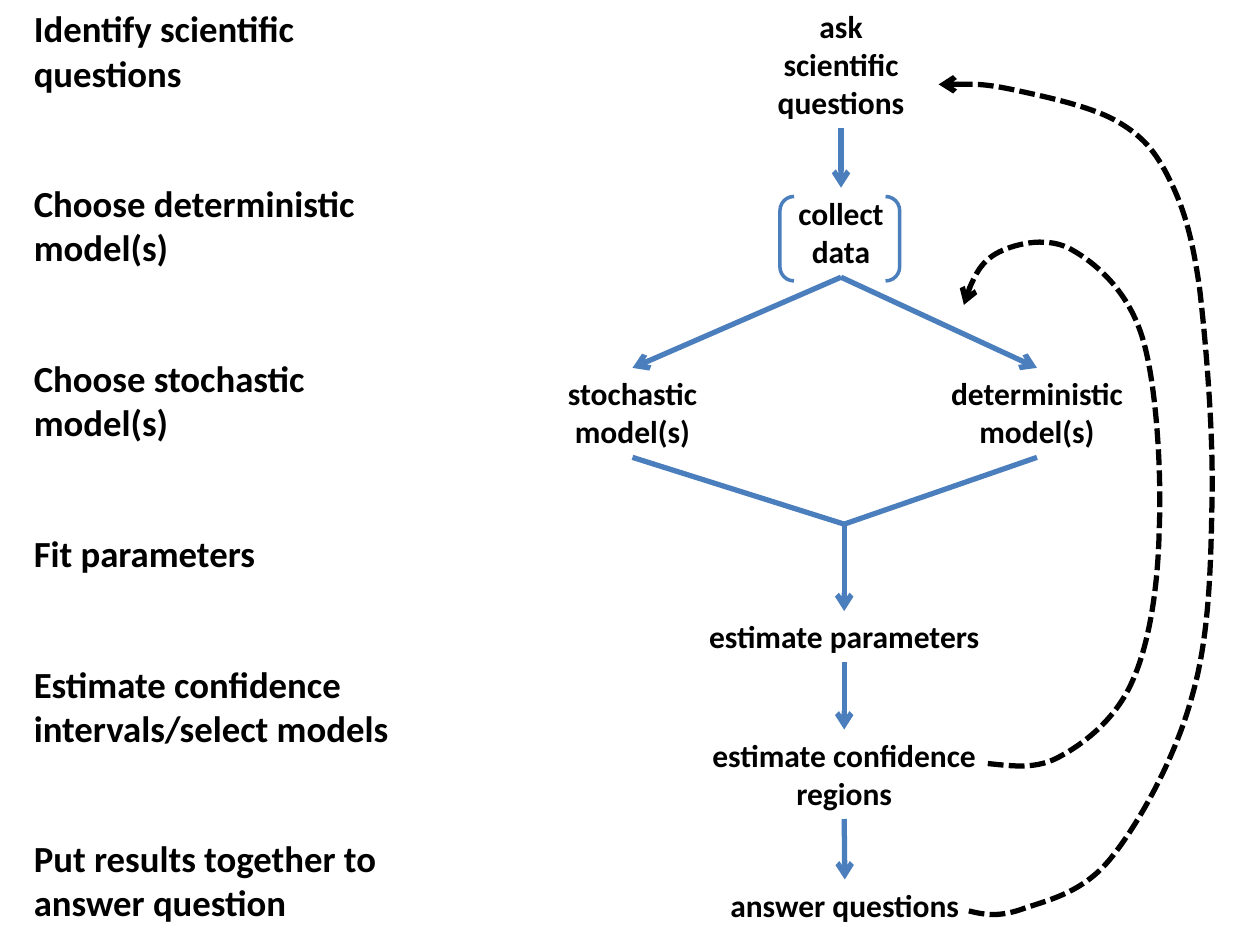
from dataclasses import dataclass

from lxml.etree import SubElement
from pptx import Presentation
from pptx.dml.color import RGBColor
from pptx.enum.dml import MSO_LINE
from pptx.enum.shapes import MSO_CONNECTOR, MSO_SHAPE
from pptx.enum.text import MSO_AUTO_SIZE, PP_ALIGN
from pptx.oxml.ns import qn
from pptx.util import Inches, Pt


@dataclass(frozen=True)
class Theme:
    ink: RGBColor = RGBColor(0, 0, 0)
    blue: RGBColor = RGBColor(0x4B, 0x7E, 0xBC)
    font: str = "Calibri"
    step_size: Pt = Pt(21)
    node_size: Pt = Pt(18)
    step_gap: Pt = Pt(49.5)
    stroke: Pt = Pt(3)
    bracket: Pt = Pt(2)


theme = Theme()


def add_text(box, lines, size, align, gap=Pt(0)):
    sp = s.shapes.add_textbox(*map(Inches, box))
    tf = sp.text_frame
    tf.word_wrap = True
    tf.auto_size = MSO_AUTO_SIZE.SHAPE_TO_FIT_TEXT
    for i, text in enumerate(lines):
        p = tf.paragraphs[0] if i == 0 else tf.add_paragraph()
        p.alignment = align
        p.space_before = gap if i else Pt(0)
        r = p.add_run()
        r.text = text
        for name, value in {"name": theme.font, "size": size, "bold": True}.items():
            setattr(r.font, name, value)
        r.font.color.rgb = theme.ink
    return sp


def style_line(sp, color, arrow):
    sp.line.color.rgb = color
    sp.line.width = theme.stroke
    if arrow:
        SubElement(sp.line._get_or_add_ln(), qn("a:tailEnd"), type="arrow")


prs = Presentation()
prs.slide_width, prs.slide_height = Inches(10), Inches(7.5)
s = prs.slides.add_slide(prs.slide_layouts[6])

nodes = {
    "ask": ("ask scientific questions", (5.99, 0.01, 1.37, 1.01)),
    "collect": ("collect data", (6.09, 1.49, 1.17, 0.71)),
    "stochastic": ("stochastic model(s)", (4, 2.92, 2.04, 0.71)),
    "deterministic": ("deterministic model(s)", (7.04, 2.92, 2.38, 0.71)),
    "parameters": ("estimate parameters", (5.49, 4.85, 2.42, 0.4)),
    "regions": ("estimate confidence regions", (5.49, 5.79, 2.42, 0.71)),
    "answer": ("answer questions", (5.59, 6.98, 2.23, 0.4)),
}
boxes = {key: add_text(box, [text], theme.node_size, PP_ALIGN.CENTER)
         for key, (text, box) in nodes.items()}

bracket = s.shapes.add_shape(MSO_SHAPE.DOUBLE_BRACKET, *map(Inches, (6.19, 1.56, 0.95, 0.67)))
bracket.shadow.inherit = False
bracket.fill.background()
bracket.line.color.rgb = theme.blue
bracket.line.width = theme.bracket

junction = Inches(6.7), Inches(4.16)
links = [
    ("ask", "collect"),
    ("collect", "stochastic"),
    ("collect", "deterministic"),
    ("stochastic", None),
    ("deterministic", None),
    (None, "parameters"),
    ("parameters", "regions"),
    ("regions", "answer"),
]
for start, end in links:
    link = s.shapes.add_connector(MSO_CONNECTOR.STRAIGHT, *junction, *junction)
    if start:
        link.begin_connect(boxes[start], 2)
    if end:
        link.end_connect(boxes[end], 0)
    style_line(link, theme.blue, arrow=end is not None)
    SubElement(link._element.spPr, qn("a:effectLst"))

feedback_loops = [
    ((7.84, 6.06), [
        ((8.04, 6.08), (8.23, 6.11), (8.42, 6)),
        ((8.62, 5.89), (8.86, 5.7), (8.99, 5.4)),
        ((9.12, 5.11), (9.19, 4.67), (9.2, 4.21)),
        ((9.22, 3.76), (9.18, 3.06), (9.07, 2.69)),
        ((8.96, 2.32), (8.71, 2.1), (8.52, 1.99)),
        ((8.33, 1.87), (8.07, 1.93), (7.93, 2)),
        ((7.79, 2.07), (7.68, 2.28), (7.65, 2.42)),
    ]),
    ((7.69, 7.23), [
        ((7.81, 7.26), (7.92, 7.28), (8.1, 7.22)),
        ((8.29, 7.15), (8.58, 7.1), (8.81, 6.82)),
        ((9.04, 6.54), (9.33, 6.01), (9.46, 5.53)),
        ((9.6, 5.05), (9.61, 4.49), (9.62, 3.95)),
        ((9.63, 3.41), (9.57, 2.7), (9.52, 2.28)),
        ((9.46, 1.86), (9.39, 1.64), (9.28, 1.42)),
        ((9.17, 1.2), (9.07, 1.08), (8.86, 0.96)),
        ((8.65, 0.84), (8.26, 0.76), (8.03, 0.71)),
        ((7.79, 0.66), (7.62, 0.67), (7.45, 0.67)),
    ]),
]
for (x, y), curves in feedback_loops:
    builder = s.shapes.build_freeform(Inches(x), Inches(y))
    builder.add_line_segments([tuple(map(Inches, curve[-1])) for curve in curves], close=False)
    loop = builder.convert_to_shape()
    segments = list(loop._element.iter(qn("a:lnTo")))
    for segment, curve in zip(segments, curves):
        segment.tag = qn("a:cubicBezTo")
        segment.clear()
        for px, py in curve:
            SubElement(segment, qn("a:pt"), x=str(Inches(px) - loop.left), y=str(Inches(py) - loop.top))
    loop.shadow.inherit = False
    loop.fill.background()
    loop.line.dash_style = MSO_LINE.SQUARE_DOT
    style_line(loop, theme.ink, arrow=True)

steps = [
    "Identify scientific questions",
    "Choose deterministic model(s)",
    "Choose stochastic model(s)",
    "Fit parameters",
    "Estimate confidence intervals/select models",
    "Put results together to answer question",
]
add_text((0.17, 0, 3.36, 7.5), steps, theme.step_size, PP_ALIGN.LEFT, theme.step_gap)

prs.save("out.pptx")
